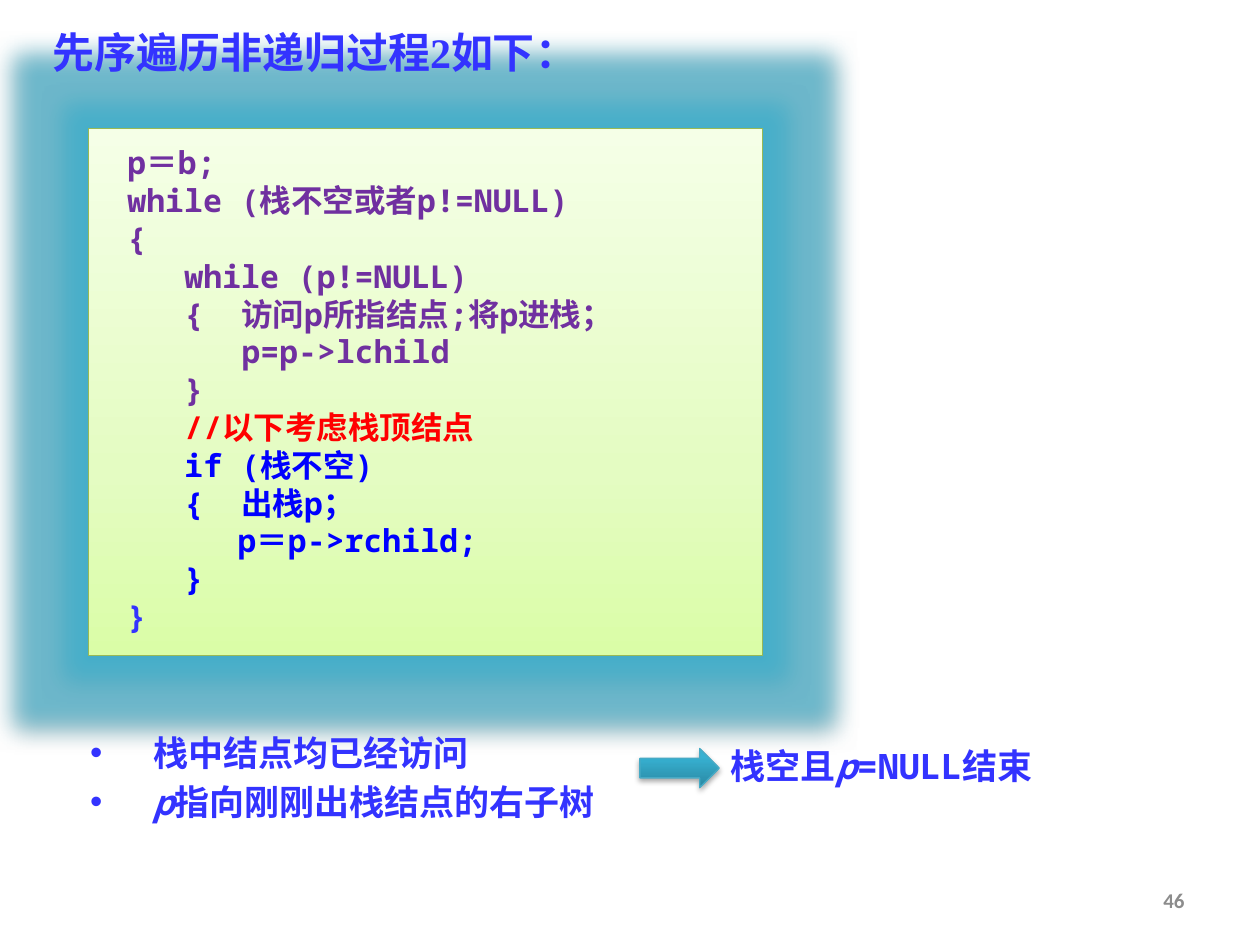
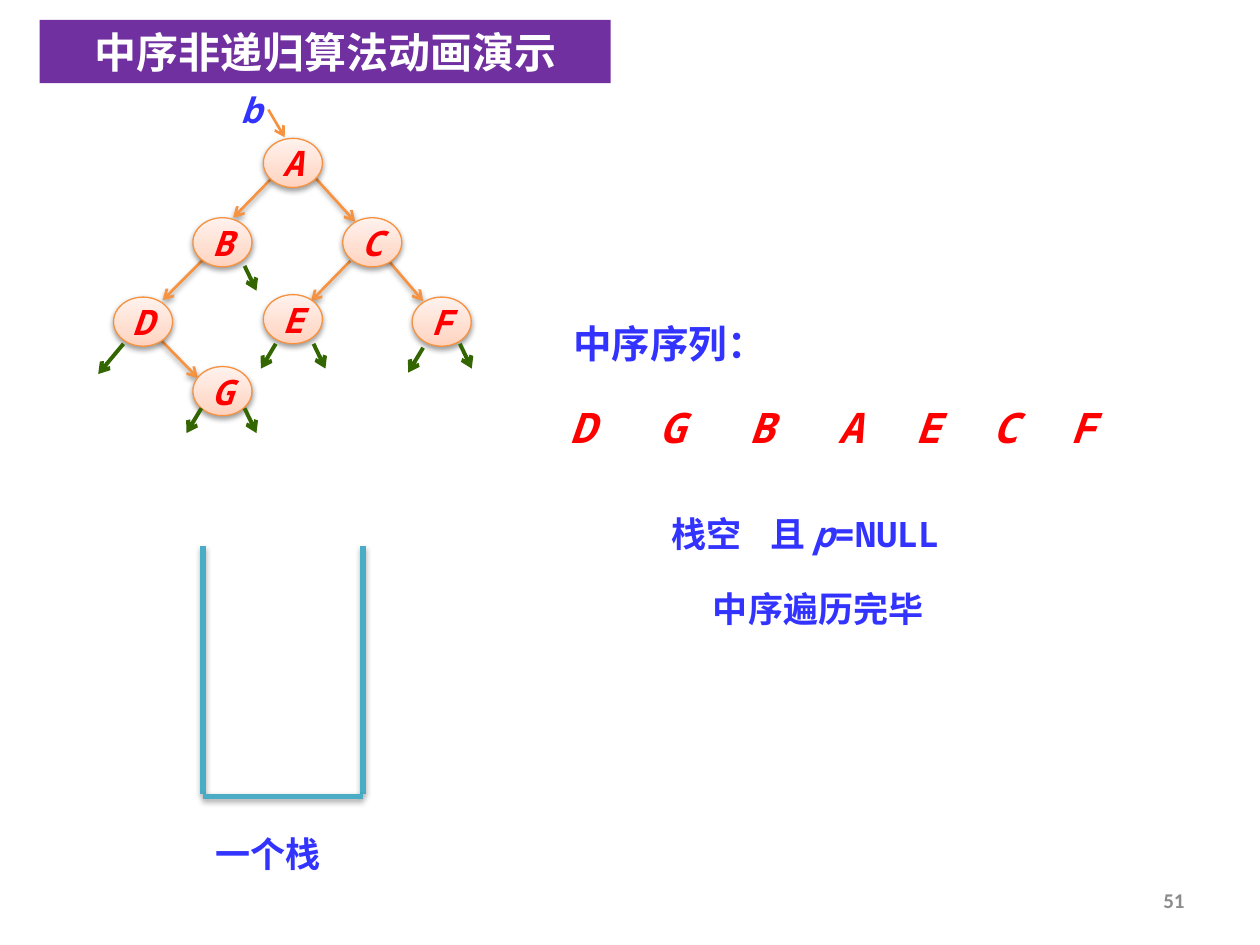
from lxml.etree import SubElement
from pptx import Presentation
from pptx.dml.color import RGBColor
from pptx.enum.shapes import MSO_CONNECTOR, MSO_SHAPE
from pptx.enum.text import MSO_ANCHOR, PP_ALIGN
from pptx.oxml.ns import qn
from pptx.util import Cm, Pt

COLORS = {
    "blue": "3333FF", "code_blue": "0000FF", "purple": "7030A0",
    "red": "FF0000", "white": "FFFFFF", "grey": "8C8C8C",
    "orange": "F69240", "green": "336600", "teal": "4BACC6",
    "teal_edge": "46AAC5", "lime_edge": "98B955", "glow": "35B0D0",
    "black": "000000",
}
GRADIENTS = {
    "lime": [(0, "DAFDA7"), (35, "E4FCC2"), (100, "F5FFE7")],
    "teal": [(0, "2A88A2"), (80, "37B1D2"), (100, "34B4D6")],
    "peach": [(0, "FFD2BD"), (35, "FFDED0"), (100, "FFF2ED")],
}
MONO, SERIF, HAN = "Noto Sans Mono", "Times New Roman", "Noto Sans CJK SC"
DEFAULT_INSETS = (0.25, 0.13, 0.25, 0.13)
NO_INSETS = (0, 0, 0, 0)
NODE_WIDTH, NODE_HEIGHT = 1.19, 0.99

CODE = [
    (0, "purple", "p＝b;"),
    (0, "purple", "while (栈不空或者p!=NULL)"),
    (0, "purple", "{"),
    (1.15, "purple", "while (p!=NULL)"),
    (1.15, "purple", "{ |访问p所指结点;将p进栈；"),
    (2.3, "purple", "p=p->lchild"),
    (1.15, "purple", "}"),
    (1.15, "red", "//以下考虑栈顶结点"),
    (1.15, "code_blue", "if (栈不空)"),
    (1.15, "code_blue", "{ |出栈p；"),
    (2.22, "code_blue", "p＝p->rchild;"),
    (1.15, "code_blue", "}"),
    (0, "blue", "}"),
]
NODES = {
    "A": (5.31, 2.79), "B": (3.89, 4.39), "C": (6.91, 4.39),
    "D": (2.29, 5.99), "E": (5.31, 5.94), "G": (3.89, 7.39),
    "F": (8.31, 5.99),
}
TREE_EDGES = [
    (3.2, 6.81, 3.99, 7.62), (5.49, 3.58, 4.7, 4.39),
    (6.35, 3.58, 7.16, 4.47), (4.17, 5.16, 3.28, 6.05),
    (7.06, 5.26, 6.27, 6.07), (7.75, 5.16, 8.53, 6.07),
]
LEFT_STEP, RIGHT_STEP = (-0.3, 0.5), (0.24, 0.5)
NULL_LINKS = [
    (4.93, 8.23, RIGHT_STEP), (4.06, 8.23, LEFT_STEP),
    (6.32, 6.93, RIGHT_STEP), (5.56, 6.93, LEFT_STEP),
    (9.27, 6.93, RIGHT_STEP), (8.53, 7.01, LEFT_STEP),
    (4.93, 5.36, RIGHT_STEP), (2.49, 6.93, (-0.51, 0.61)),
]


def rgb(name):
    return RGBColor.from_string(COLORS[name])


def add_effect_color(effect, color, alpha):
    tint = SubElement(effect, qn("a:srgbClr"), val=COLORS[color])
    SubElement(tint, qn("a:alpha"), val=str(alpha * 1000))


def add_effects(properties, alpha=None, glow=None):
    effects = properties.find(qn("a:effectLst"))
    if effects is None:
        effects = SubElement(properties, qn("a:effectLst"))
    if glow:
        halo = SubElement(effects, qn("a:glow"), rad=str(Cm(glow)))
        add_effect_color(halo, "glow", 60)
    if alpha:
        shade = SubElement(effects, qn("a:outerShdw"), blurRad="40000",
                           dist="20000", dir="5400000", rotWithShape="0")
        add_effect_color(shade, "black", alpha)


def fill_gradient(shape, name):
    shape.fill.gradient()
    shape.fill.gradient_angle = 90
    stops = next(shape.element.spPr.iter(qn("a:gsLst")))
    for stop in list(stops):
        stops.remove(stop)
    for position, color in GRADIENTS[name]:
        stop = SubElement(stops, qn("a:gs"), pos=str(position * 1000))
        SubElement(stop, qn("a:srgbClr"), val=color)


def add_panel(slide, kind, box, gradient, edge, alpha, glow=None):
    panel = slide.shapes.add_shape(kind, *map(Cm, box))
    panel.shadow.inherit = False
    fill_gradient(panel, gradient)
    panel.line.color.rgb = rgb(edge)
    panel.line.width = Pt(0.75)
    add_effects(panel.element.spPr, alpha, glow)
    return panel


def add_run(paragraph, text, size, color, font=MONO, bold=True,
            italic=False, spacing=0):
    run = paragraph.add_run()
    run.text = text
    run.font.size = Pt(size)
    run.font.name = font
    run.font.bold = bold
    run.font.italic = italic
    run.font.color.rgb = rgb(color)
    properties = run.font._element
    SubElement(properties, qn("a:ea"), typeface=HAN)
    if spacing:
        properties.set("spc", str(round(spacing * 100)))


def set_frame(shape, insets=DEFAULT_INSETS, anchor=MSO_ANCHOR.TOP, wrap=True):
    frame = shape.text_frame
    frame.word_wrap = wrap
    frame.vertical_anchor = anchor
    (frame.margin_left, frame.margin_top,
     frame.margin_right, frame.margin_bottom) = map(Cm, insets)
    return frame


def add_label(slide, box, runs, size=20, color="blue", align=PP_ALIGN.LEFT,
              insets=DEFAULT_INSETS, anchor=MSO_ANCHOR.TOP):
    label = slide.shapes.add_textbox(*map(Cm, box))
    paragraph = set_frame(label, insets, anchor).paragraphs[0]
    paragraph.alignment = align
    for text, style in runs:
        add_run(paragraph, text, size, color, **style)
    return label


def add_title(slide, width, runs, color, align=PP_ALIGN.LEFT, band=None):
    title = add_label(slide, (0.8, 0.4, width, 1.28), runs, 24, color, align)
    if band:
        title.fill.solid()
        title.fill.fore_color.rgb = rgb(band)


def add_page_number(slide, number):
    add_label(slide, (18.2, 17.65, 5.93, 1.01),
              [(str(number), {"font": "Calibri"})], 12, "grey",
              PP_ALIGN.RIGHT, anchor=MSO_ANCHOR.MIDDLE)


def add_line(slide, ends, color, width, arrow=True, alpha=None):
    line = slide.shapes.add_connector(MSO_CONNECTOR.STRAIGHT, *map(Cm, ends))
    line.line.color.rgb = rgb(color)
    line.line.width = Pt(width)
    properties = line._element.spPr
    if arrow:
        SubElement(properties.find(qn("a:ln")), qn("a:tailEnd"), type="arrow")
    add_effects(properties, alpha)


def add_code(slide):
    panel = add_panel(slide, MSO_SHAPE.RECTANGLE, (1.78, 2.59, 13.59, 10.62),
                      "lime", "lime_edge", 38, glow=0.97)
    frame = set_frame(panel, (0.79, 0.3, 0.25, 0.3))
    for index, (indent, color, text) in enumerate(CODE):
        paragraph = frame.add_paragraph() if index else frame.paragraphs[0]
        paragraph.alignment = PP_ALIGN.LEFT
        paragraph._p.get_or_add_pPr().set("marL", str(Cm(indent)))
        brace, gap, statement = text.rpartition("|")
        if gap:
            add_run(paragraph, brace, 18, color, spacing=5.4)
        add_run(paragraph, statement, 18, color)


def add_bullets(slide, box, items):
    notes = slide.shapes.add_textbox(*map(Cm, box))
    frame = set_frame(notes)
    for index, runs in enumerate(items):
        paragraph = frame.add_paragraph() if index else frame.paragraphs[0]
        paragraph.line_spacing = Pt(28)
        properties = paragraph._p.get_or_add_pPr()
        properties.set("marL", str(Cm(1.27)))
        properties.set("indent", str(Cm(-1.27)))
        SubElement(properties, qn("a:buFont"), typeface="Arial")
        SubElement(properties, qn("a:buChar"), char="•")
        for text, style in runs:
            add_run(paragraph, text, 20, "blue", **style)


def add_tree(slide):
    for ends in TREE_EDGES:
        add_line(slide, ends, "orange", 1.5, alpha=38)
    for letter, (left, top) in NODES.items():
        node = add_panel(slide, MSO_SHAPE.OVAL,
                         (left, top, NODE_WIDTH, NODE_HEIGHT),
                         "peach", "orange", 38)
        frame = set_frame(node, anchor=MSO_ANCHOR.MIDDLE, wrap=False)
        frame.paragraphs[0].alignment = PP_ALIGN.CENTER
        add_run(frame.paragraphs[0], letter, 20, "red", italic=True)
    for x, y, (across, down) in NULL_LINKS:
        add_line(slide, (x, y, x + across, y + down), "green", 2.25)
    add_line(slide, (5.41, 2.21, 5.74, 2.77), "orange", 1.5)
    add_label(slide, (4.57, 1.78, 0.99, 0.86), [("b", {"italic": True})],
              align=PP_ALIGN.CENTER, insets=NO_INSETS)


def add_stack(slide):
    left, right, top, bottom = 4.09, 7.32, 11, 16.05
    walls = [(left, top, left, 16), (right, top, right, 16),
             (left, bottom, right, bottom)]
    for wall in walls:
        add_line(slide, wall, "teal", 3, arrow=False, alpha=35)
    add_label(slide, (4.09, 16.66, 3.2, 1.12), [("一个栈", {})])


def add_sequence(slide):
    add_label(slide, (11.1, 6.32, 4.8, 1.19), [("中序序列：", {})], 22,
              align=PP_ALIGN.CENTER)
    for index, letter in enumerate("DGBAECF"):
        left = 11.15 + 1.8 * min(index, 3) + 1.56 * max(index - 3, 0)
        add_label(slide, (left, 8.1, NODE_WIDTH, 1.02),
                  [(letter, {"italic": True})], 24, "red",
                  PP_ALIGN.CENTER, NO_INSETS)


def build_preorder(slide):
    add_code(slide)
    add_title(slide, 14.68, [("先序遍历非递归", {"font": SERIF}),
                             ("过程", {"font": HAN}),
                             ("2", {"font": SERIF}),
                             ("如下：", {"font": HAN})], "blue")
    add_bullets(slide, (1.57, 14.48, 10.72, 2.26), [
        [("栈中结点均已经访问", {})],
        [("p", {"italic": True}), ("指向刚刚出栈结点的右子树", {})],
    ])
    add_label(slide, (14.48, 14.88, 6.76, 1.12),
              [("栈空且", {}), ("p", {"italic": True}), ("=NULL结束", {})])
    add_panel(slide, MSO_SHAPE.RIGHT_ARROW, (12.9, 15.09, 1.6, 0.79),
              "teal", "teal_edge", 35)
    add_page_number(slide, 46)


def build_inorder(slide):
    add_stack(slide)
    add_tree(slide)
    add_sequence(slide)
    add_label(slide, (12.7, 11.71, 7.59, 1.12), [("中序遍历完毕", {})],
              align=PP_ALIGN.CENTER)
    add_title(slide, 11.51, [("中序非递归算法动画演示", {"font": SERIF})],
              "white", PP_ALIGN.CENTER, "purple")
    add_label(slide, (13.28, 10.21, 6.35, 1.12),
              [("栈空", {}), (" ", {"spacing": 12}), ("且 ", {}),
               ("p", {"italic": True}), ("=NULL", {})])
    add_page_number(slide, 51)


def main():
    deck = Presentation()
    deck.slide_width, deck.slide_height = Cm(25.4), Cm(19.05)
    for build in (build_preorder, build_inorder):
        build(deck.slides.add_slide(deck.slide_layouts[6]))
    deck.save("out.pptx")


main()
